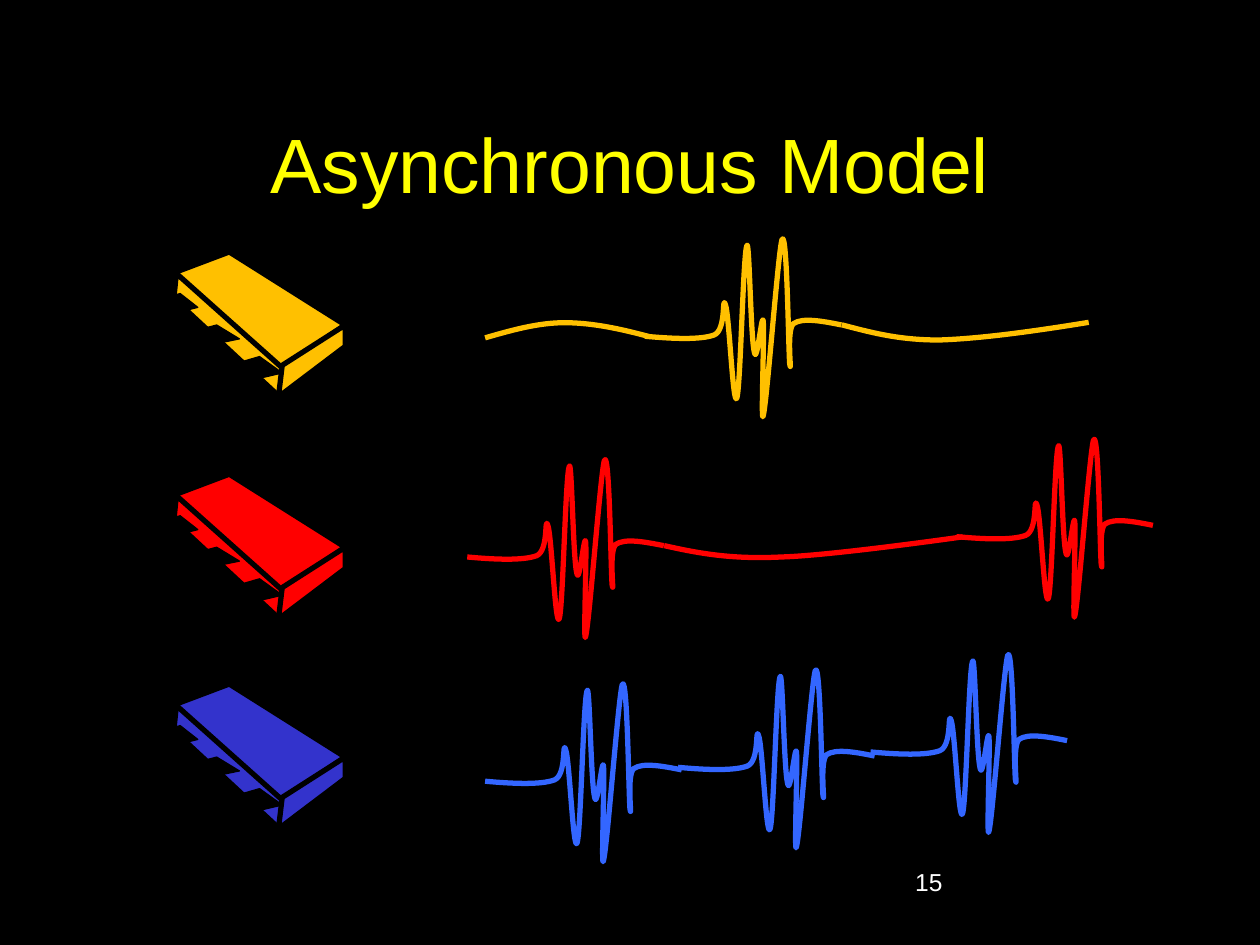
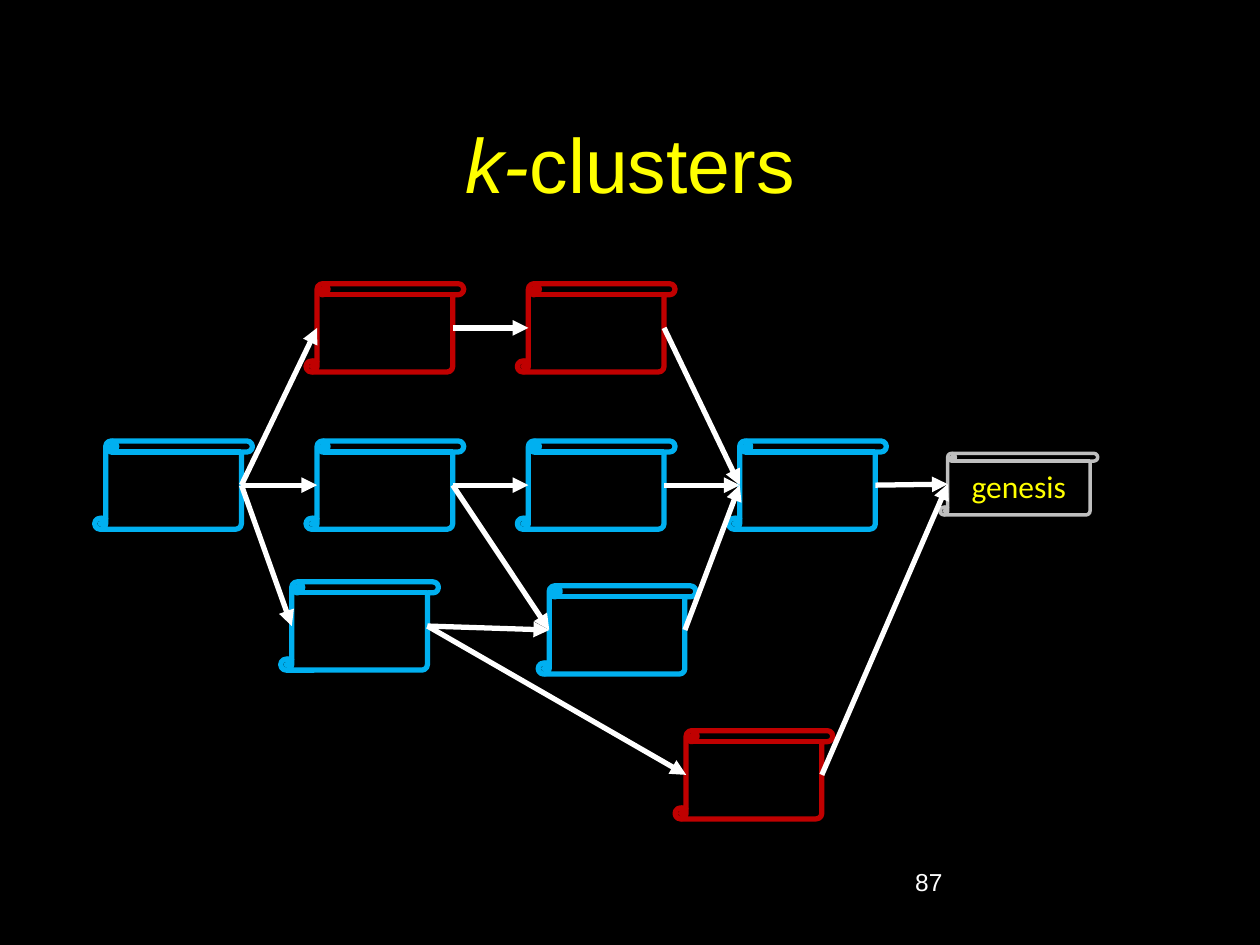
from typing import NamedTuple

import lxml.etree
import pptx
import pptx.dml.color
import pptx.enum.shapes
import pptx.enum.text
import pptx.oxml.ns
import pptx.util

Cm = pptx.util.Cm
Pt = pptx.util.Pt
qn = pptx.oxml.ns.qn

COLORS = {
    "black": "000000", "white": "FFFFFF", "yellow": "FFFF00", "gold": "FFC000",
    "red": "FF0000", "indigo": "3333CC", "blue": "3366FF", "sky": "00B0F0",
    "crimson": "C00000", "silver": "BFBFBF",
}
GRID = Cm(2.54) / 100  # drawing unit of the outlines below

Points = list[tuple[float, float]]


class Signal(NamedTuple):
    left: float
    top: float
    color: str
    curve: Points


class ChipPart(NamedTuple):
    outline: Points
    is_body: bool


class Block(NamedTuple):
    left: float
    top: float
    color: str = "sky"
    height: float = 1.78
    line_width: float = 3
    label: str = ""


# Bezier control points, relative to the start of the signal
SPIKE = [
    (22, 2), (44, 3), (55, -1), (65, -5), (61, -34), (64, -25),
    (67, -17), (70, 57), (73, 49), (76, 41), (78, -66), (81, -72),
    (83, -78), (84, 2), (87, 13), (89, 23), (93, -20), (94, -12),
    (95, -3), (92, 73), (94, 63), (97, 52), (106, -70), (109, -77),
    (113, -84), (114, 11), (115, 22), (117, 33), (112, -5), (118, -10),
    (125, -15), (141, -12), (156, -9),
]
RISE = [(21, -6), (42, -12), (63, -12), (85, -12), (108, -7), (130, -1)]
DIP = [(23, 6), (45, 12), (77, 12), (110, 11), (153, 5), (196, -2)]
LONG_DIP = [(27, 6), (53, 11), (93, 9), (132, 8), (237, -7), (237, -7)]

SIGNALS = [
    Signal(9.78, 6.81, "gold", RISE),
    Signal(13, 6.78, "gold", SPIKE),
    Signal(16.97, 6.55, "gold", DIP),
    Signal(9.42, 11.23, "red", SPIKE),
    Signal(13.39, 11, "red", LONG_DIP),
    Signal(19.28, 10.82, "red", SPIKE),
    Signal(9.78, 15.75, "blue", SPIKE),
    Signal(13.67, 15.47, "blue", SPIKE),
    Signal(17.55, 15.16, "blue", SPIKE),
]

# Chip outlines from back to front: rear pins, body faces, front pins
CHIP = [
    ChipPart([(133, 50), (150, 42), (158, 50), (158, 100), (150, 92), (150, 58), (133, 67)], False),
    ChipPart([(97, 25), (113, 17), (122, 25), (122, 75), (113, 67), (113, 33), (97, 42)], False),
    ChipPart([(58, 7), (75, 0), (83, 7), (83, 50), (75, 43), (75, 14), (58, 21)], False),
    ChipPart([(58, 0), (150, 58), (98, 93), (13, 17)], True),
    ChipPart([(16, 17), (100, 92), (98, 115), (14, 37)], True),
    ChipPart([(150, 58), (150, 75), (97, 115), (100, 90)], True),
    ChipPart([(82, 83), (100, 96), (70, 103), (70, 142), (58, 129), (58, 90)], False),
    ChipPart([(48, 58), (66, 69), (37, 75), (37, 108), (25, 97), (25, 64)], False),
    ChipPart([(19, 33), (33, 44), (9, 50), (9, 83), (0, 72), (0, 39)], False),
]
CHIP_LEFT = 3.15
CHIP_TOPS = {"gold": 5.08, "red": 9.56, "indigo": 13.79}

# Block graph
BLOCK_WIDTH = 3.18
COLUMNS = [1.91 + 4.26 * column for column in range(4)]
FORK_TOP, CHAIN_TOP = 5.72, 8.89
BLOCKS = {
    "genesis": Block(18.95, 9.14, "silver", 1.24, 2, "genesis"),
    "newest": Block(COLUMNS[0], CHAIN_TOP),
    "third": Block(COLUMNS[1], CHAIN_TOP),
    "second": Block(COLUMNS[2], CHAIN_TOP),
    "first": Block(COLUMNS[3], CHAIN_TOP),
    "lower third": Block(5.66, 11.73),
    "lower second": Block(10.85, 11.81),
    "fork third": Block(COLUMNS[1], FORK_TOP, "crimson"),
    "fork second": Block(COLUMNS[2], FORK_TOP, "crimson"),
    "outlier": Block(13.61, 14.73, "crimson"),
}
REFERENCES = [
    ("first", "genesis"), ("second", "first"), ("third", "second"),
    ("newest", "third"), ("fork third", "fork second"),
    ("lower third", "lower second"), ("fork second", "first"),
    ("newest", "fork third"), ("newest", "lower third"),
    ("third", "lower second"), ("lower second", "first"),
    ("lower third", "outlier"), ("outlier", "genesis"),
]


def rgb(color: str) -> pptx.dml.color.RGBColor:
    return pptx.dml.color.RGBColor.from_string(COLORS[color])


def set_line(shape, color: str, width: float) -> None:
    shape.line.color.rgb = rgb(color)
    shape.line.width = Pt(width)


def set_fill(shape, color: str) -> None:
    shape.fill.solid()
    shape.fill.fore_color.rgb = rgb(color)


def add_run(paragraph, text: str, size: float, color: str,
            font: str = "Arial", italic: bool = False) -> None:
    run = paragraph.add_run()
    run.text = text
    run.font.size = Pt(size)
    run.font.name = font
    run.font.italic = italic
    run.font.color.rgb = rgb(color)


def add_slide(deck, title: list[tuple[str, bool]], number: str):
    """Add a black slide with its title, given as (text, italic), and number."""
    slide = deck.slides.add_slide(deck.slide_layouts[6])
    slide.background.fill.solid()
    slide.background.fill.fore_color.rgb = rgb("black")

    heading = slide.shapes.add_textbox(Cm(1.91), Cm(1.7), Cm(21.59), Cm(3.18)).text_frame
    heading.word_wrap = True
    heading.vertical_anchor = pptx.enum.text.MSO_ANCHOR.MIDDLE
    heading.paragraphs[0].alignment = pptx.enum.text.PP_ALIGN.CENTER
    for text, italic in title:
        add_run(heading.paragraphs[0], text, 44, "yellow", italic=italic)

    page = slide.shapes.add_textbox(Cm(18.2), Cm(17.36), Cm(5.29), Cm(1.27)).text_frame
    page.word_wrap = True
    add_run(page.paragraphs[0], number, 14, "white")
    return slide


def add_outline(slide, left: float, top: float, points: Points, closed: bool):
    scaled = [(round(x * GRID), round(y * GRID)) for x, y in points]
    builder = slide.shapes.build_freeform(*scaled[0])
    builder.add_line_segments(scaled[1:], close=closed)
    shape = builder.convert_to_shape(Cm(left), Cm(top))
    shape.shadow.inherit = False
    return shape


def bend_segments(shape) -> None:
    """Make each three line segments the controls of one Bezier curve."""
    outline = next(shape._element.iter(qn("a:path")))
    segments = outline.findall(qn("a:lnTo"))
    for index in range(0, len(segments), 3):
        curve = lxml.etree.SubElement(outline, qn("a:cubicBezTo"))
        for segment in segments[index:index + 3]:
            curve.append(segment[0])
            outline.remove(segment)


def add_signal(slide, signal: Signal) -> None:
    wave = add_outline(slide, signal.left, signal.top, [(0, 0), *signal.curve], False)
    bend_segments(wave)
    wave.fill.background()
    set_line(wave, signal.color, 3)


def add_chip(slide, top: float, color: str) -> None:
    faces = []
    for part in CHIP:
        face = add_outline(slide, CHIP_LEFT, top, part.outline, True)
        set_fill(face, color if part.is_body else "black")
        set_line(face, "black", 3 if part.is_body else 0.75)
        faces.append(face)
    slide.shapes.add_group_shape(faces)


def add_block(slide, block: Block) -> None:
    scroll = slide.shapes.add_shape(
        pptx.enum.shapes.MSO_SHAPE.VERTICAL_SCROLL,
        Cm(block.left), Cm(block.top), Cm(BLOCK_WIDTH), Cm(block.height))
    scroll.shadow.inherit = False
    set_fill(scroll, "black")
    set_line(scroll, block.color, block.line_width)
    if block.label:
        scroll.text_frame.vertical_anchor = pptx.enum.text.MSO_ANCHOR.MIDDLE
        paragraph = scroll.text_frame.paragraphs[0]
        paragraph.alignment = pptx.enum.text.PP_ALIGN.CENTER
        add_run(paragraph, block.label, 18, "yellow", "Calibri")


def add_reference(slide, source: Block, target: Block) -> None:
    """Draw an arrow between the inner edges, an eighth of the height inside."""
    arrow = slide.shapes.add_connector(
        pptx.enum.shapes.MSO_CONNECTOR.STRAIGHT,
        Cm(source.left + BLOCK_WIDTH - source.height / 8),
        Cm(source.top + source.height / 2),
        Cm(target.left + target.height / 8),
        Cm(target.top + target.height / 2))
    set_line(arrow, "white", 3)
    properties = arrow._element.spPr
    lxml.etree.SubElement(properties.find(qn("a:ln")), qn("a:tailEnd"), type="triangle")
    lxml.etree.SubElement(properties, qn("a:effectLst"))


def main() -> None:
    deck = pptx.Presentation()
    deck.slide_width, deck.slide_height = Cm(25.4), Cm(19.05)

    # Processors and their signals
    model = add_slide(deck, [("Asynchronous Model", False)], "15")
    for color, top in CHIP_TOPS.items():
        add_chip(model, top, color)
    for signal in SIGNALS:
        add_signal(model, signal)

    # Blocks and the references between them
    clusters = add_slide(deck, [("k-", True), ("clusters", False)], "87")
    for block in BLOCKS.values():
        add_block(clusters, block)
    for source, target in REFERENCES:
        add_reference(clusters, BLOCKS[source], BLOCKS[target])

    deck.save("out.pptx")


if __name__ == "__main__":
    main()
